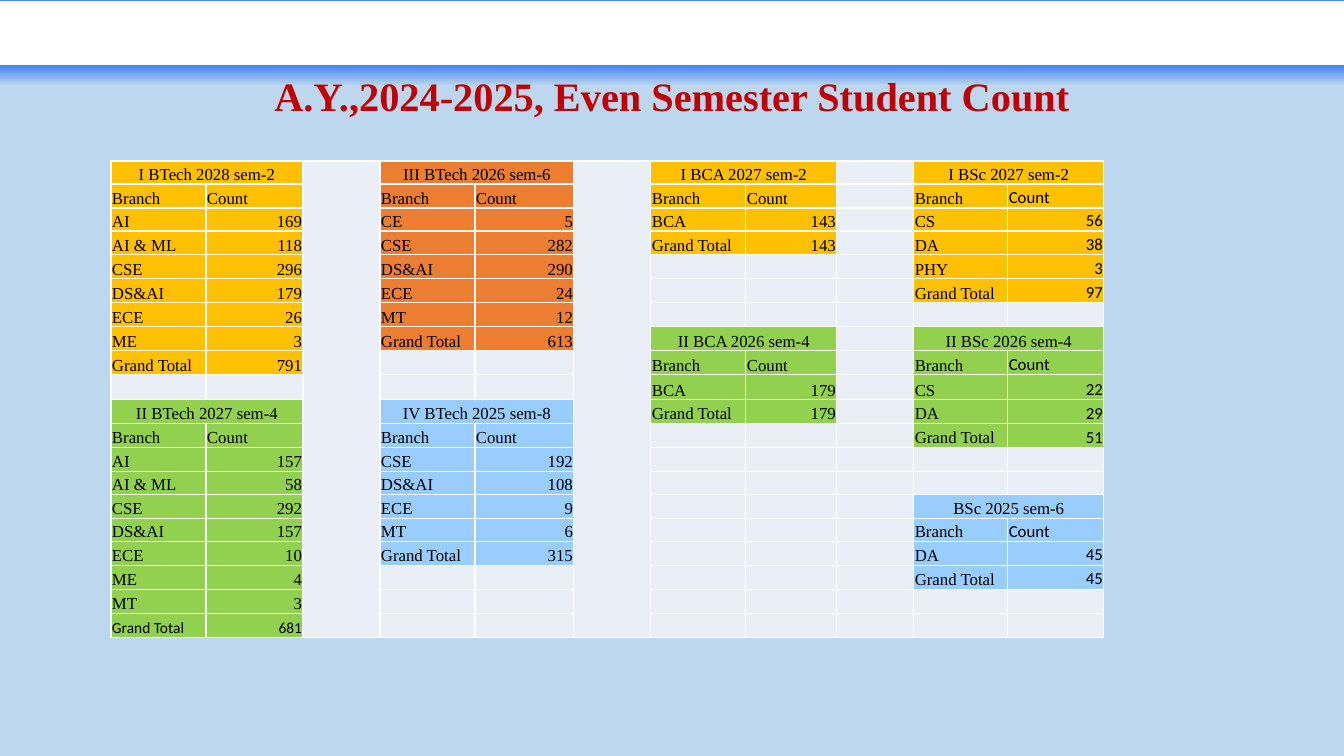
from lxml import etree
from pptx import Presentation
from pptx.dml.color import RGBColor
from pptx.enum.shapes import MSO_SHAPE
from pptx.enum.text import MSO_ANCHOR, PP_ALIGN
from pptx.oxml.ns import qn
from pptx.util import Emu, Pt

RECTANGLE = MSO_SHAPE.RECTANGLE
MIDDLE, BOTTOM = MSO_ANCHOR.MIDDLE, MSO_ANCHOR.BOTTOM
LEFT, CENTER, RIGHT = PP_ALIGN.LEFT, PP_ALIGN.CENTER, PP_ALIGN.RIGHT

SLIDE_WIDTH, SLIDE_HEIGHT = 1344, 756
EMU_PER_PX = 12192000 / SLIDE_WIDTH

WHITE = RGBColor(0xFF, 0xFF, 0xFF)
BLACK = RGBColor(0, 0, 0)
PALE_BLUE = RGBColor(0xBD, 0xD7, 0xEE)
BAND_BLUE = RGBColor(0x42, 0x85, 0xF4)
TITLE_RED = RGBColor(0xC0, 0, 0)
EMPTY = RGBColor(0xEA, 0xEF, 0xF7)
GOLD = RGBColor(0xFF, 0xC0, 0)
ORANGE = RGBColor(0xED, 0x7D, 0x31)
GREEN = RGBColor(0x92, 0xD0, 0x50)
SKY = RGBColor(0x99, 0xCC, 0xFF)

SERIF, SANS = "Times New Roman", "Calibri"

COLUMN_WIDTHS = [95, 97, 77, 95, 99, 77, 95, 91, 77, 94, 96]
ROW_HEIGHTS = [23, 24, 23, 24, 24, 24, 24, 24, 24, 25,
               24, 24, 24, 23, 24, 23, 24, 24, 24, 24]
GAP_COLUMNS = (2, 5)
BSC_COLUMN = 9

# First row, first column, fill, heading, student count by branch
GROUPS = [
    (0, 0, GOLD, "I BTech 2028 sem-2",
     {"AI": 169, "AI & ML": 118, "CSE": 296, "DS&AI": 179, "ECE": 26, "ME": 3}),
    (10, 0, GREEN, "II BTech 2027 sem-4",
     {"AI": 157, "AI & ML": 58, "CSE": 292, "DS&AI": 157, "ECE": 10, "ME": 4, "MT": 3}),
    (0, 3, ORANGE, "III BTech 2026 sem-6",
     {"CE": 5, "CSE": 282, "DS&AI": 290, "ECE": 24, "MT": 12}),
    (10, 3, SKY, "IV BTech 2025 sem-8",
     {"CSE": 192, "DS&AI": 108, "ECE": 9, "MT": 6}),
    (0, 6, GOLD, "I BCA 2027 sem-2", {"BCA": 143}),
    (7, 6, GREEN, "II BCA 2026 sem-4", {"BCA": 179}),
    (0, 9, GOLD, "I BSc 2027 sem-2", {"CS": 56, "DA": 38, "PHY": 3}),
    (7, 9, GREEN, "II BSc 2026 sem-4", {"CS": 22, "DA": 29}),
    (14, 9, SKY, "BSc 2025 sem-6", {"DA": 45}),
]


def px(length):
    return Emu(round(length * EMU_PER_PX))


def add_rectangle(slide, left, top, width, height):
    shape = slide.shapes.add_shape(RECTANGLE, px(left), px(top), px(width), px(height))
    shape.shadow.inherit = False
    return shape


def add_header_band(slide):
    """White strip over a blue band that fades into the background."""
    glow = add_rectangle(slide, 0, 0, SLIDE_WIDTH, 86)
    glow.line.fill.background()
    glow.fill.gradient()
    glow.fill.gradient_angle = 270
    for stop, color, position in zip(glow.fill.gradient_stops,
                                     (BAND_BLUE, PALE_BLUE), (0.76, 1)):
        stop.color.rgb = color
        stop.position = position

    strip = add_rectangle(slide, 0, 2, SLIDE_WIDTH, 62)
    strip.fill.solid()
    strip.fill.fore_color.rgb = WHITE
    strip.line.color.rgb = WHITE
    strip.line.width = Pt(1)


def style_font(font, name, size, color, bold=False):
    font.name, font.size, font.bold = name, Pt(size), bold
    font.color.rgb = color


def add_title(slide, text):
    box = slide.shapes.add_textbox(px(10), px(71), px(1324), px(54))
    frame = box.text_frame
    frame.word_wrap = True
    frame.vertical_anchor = MIDDLE
    paragraph = frame.paragraphs[0]
    paragraph.text = text
    paragraph.alignment = CENTER
    paragraph.line_spacing = 0.9
    style_font(paragraph.font, SERIF, 28.8, TITLE_RED, bold=True)


def add_borders(cell):
    properties = cell._tc.get_or_add_tcPr()
    for side in ("a:lnL", "a:lnR", "a:lnT", "a:lnB"):
        line = etree.SubElement(properties, qn(side), w=str(Pt(1)))
        fill = etree.SubElement(line, qn("a:solidFill"))
        etree.SubElement(fill, qn("a:srgbClr"), val=str(WHITE))


def prepare_cell(cell):
    """Give an empty cell its borders, fill, insets and a small line height."""
    add_borders(cell)
    cell.fill.solid()
    cell.fill.fore_color.rgb = EMPTY
    cell.margin_left = cell.margin_right = cell.margin_top = px(1)
    cell.margin_bottom = 0
    cell.vertical_anchor = BOTTOM
    paragraph = cell.text_frame.paragraphs[0]
    etree.SubElement(paragraph._p, qn("a:endParaRPr"), sz="1200")


def write_cell(cell, text, fill, alignment=LEFT, font_name=SERIF, size=12):
    cell.fill.fore_color.rgb = fill
    paragraph = cell.text_frame.paragraphs[0]
    paragraph.add_run().text = text
    paragraph.alignment = alignment
    style_font(paragraph.font, font_name, size, BLACK)


def write_group(table, top, left, fill, heading, counts):
    table.cell(top, left).merge(table.cell(top, left + 1))
    write_cell(table.cell(top, left), heading, fill, CENTER)
    table.cell(top, left + 1).fill.fore_color.rgb = fill

    lines = [("Branch", "Count"), *counts.items(), ("Grand Total", sum(counts.values()))]
    for row, (branch, count) in enumerate(lines, top + 1):
        last_row = row == len(ROW_HEIGHTS) - 1
        size = 11 if last_row else 12
        branch_font = SANS if last_row else SERIF
        count_font = SANS if left == BSC_COLUMN else branch_font
        alignment = LEFT if count == "Count" else RIGHT
        write_cell(table.cell(row, left), branch, fill, LEFT, branch_font, size)
        write_cell(table.cell(row, left + 1), str(count), fill, alignment, count_font, size)


def add_count_table(slide):
    frame = slide.shapes.add_table(
        len(ROW_HEIGHTS), len(COLUMN_WIDTHS), px(111), px(161),
        px(sum(COLUMN_WIDTHS)), px(sum(ROW_HEIGHTS)))
    table = frame.table
    table.first_row = table.horz_banding = False
    for column, width in zip(table.columns, COLUMN_WIDTHS):
        column.width = px(width)
    for row, height in zip(table.rows, ROW_HEIGHTS):
        row.height = px(height)
    for cell in table.iter_cells():
        prepare_cell(cell)
    for column in GAP_COLUMNS:
        table.cell(0, column).merge(table.cell(len(ROW_HEIGHTS) - 1, column))
    for group in GROUPS:
        write_group(table, *group)


def main():
    presentation = Presentation()
    presentation.slide_width = px(SLIDE_WIDTH)
    presentation.slide_height = px(SLIDE_HEIGHT)
    slide = presentation.slides.add_slide(presentation.slide_layouts[6])
    slide.background.fill.solid()
    slide.background.fill.fore_color.rgb = PALE_BLUE
    add_header_band(slide)
    add_title(slide, "A.Y.,2024-2025, Even Semester Student Count")
    add_count_table(slide)
    presentation.save("out.pptx")


if __name__ == "__main__":
    main()
